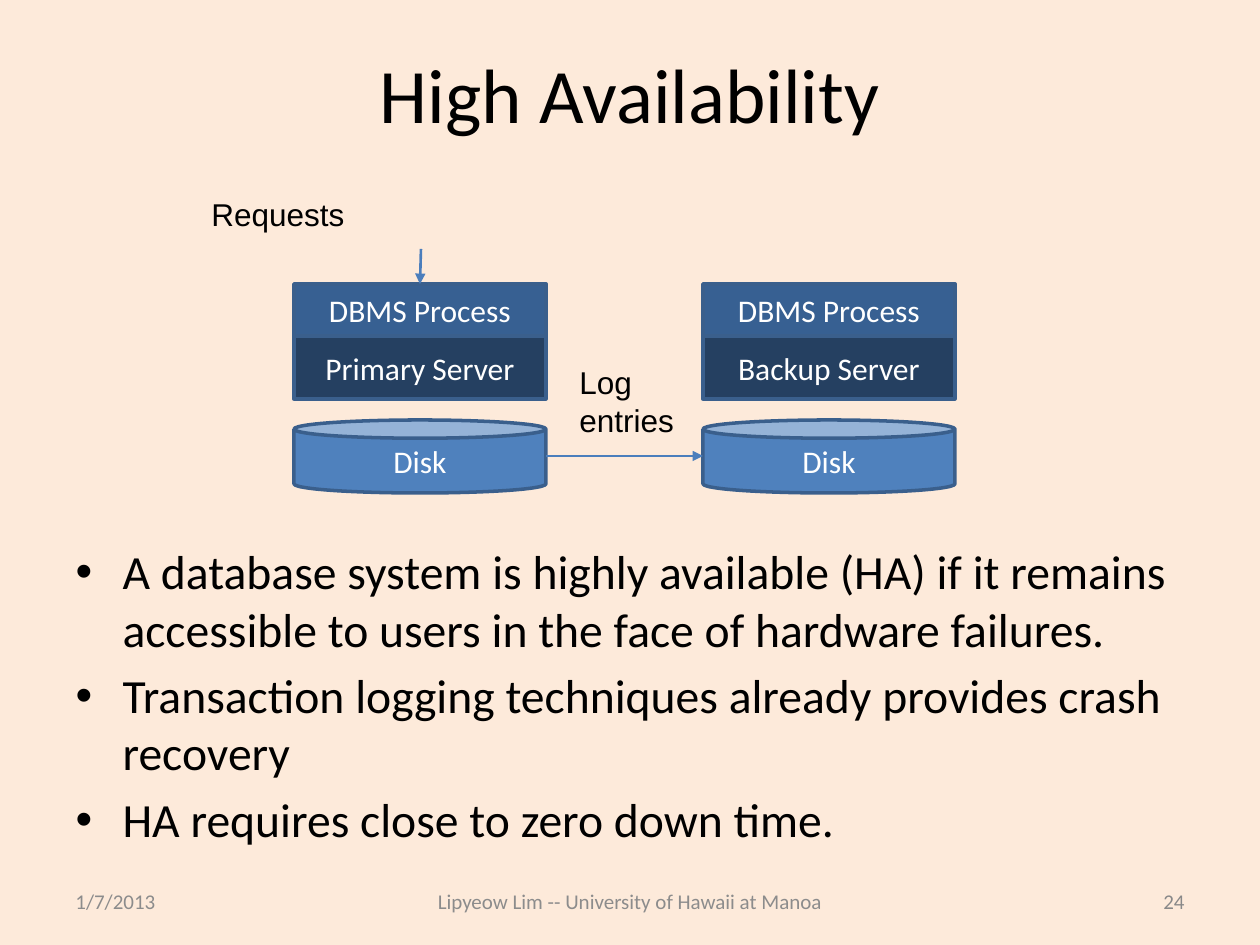
from lxml import etree
from pptx import Presentation
from pptx.dml.color import RGBColor
from pptx.enum.shapes import MSO_CONNECTOR, MSO_SHAPE
from pptx.enum.text import MSO_ANCHOR, MSO_AUTO_SIZE, PP_ALIGN
from pptx.oxml.ns import qn
from pptx.util import Pt

LEFT, MID, RIGHT = PP_ALIGN.LEFT, PP_ALIGN.CENTER, PP_ALIGN.RIGHT
TOP, HALF = MSO_ANCHOR.TOP, MSO_ANCHOR.MIDDLE
RECT, CAN = MSO_SHAPE.RECTANGLE, MSO_SHAPE.CAN
LINE, FIXED = MSO_CONNECTOR.STRAIGHT, MSO_AUTO_SIZE.NONE

TITLE = "High Availability"
POINTS = [
    "A database system is highly available (HA) if it remains accessible to users in the face of hardware failures.",
    "Transaction logging techniques already provides crash recovery",
    "HA requires close to zero down time.",
]
FOOT = [
    ("1/7/2013", 63, 294, LEFT, "8C8C8C"),
    ("Lipyeow Lim -- University of Hawaii at Manoa", 378, 504, MID, "8C8C8C"),
    ("24", 903, 294, RIGHT, "898989"),
]
NOTES = [
    (["Requests"], (199, 189, 168, 50), True),
    (["Log", "entries"], (567, 357, 121, 89), False),
]
STACKS = [(294, "Primary Server"), (703, "Backup Server")]
WIDE = 252
PARTS = [
    (CAN, "Disk", 420, 73, "4F81BD"),
    (RECT, None, 336, 63, "254061"),
    (RECT, "DBMS Process", 284, 52, "376092"),
]


def px(n):
    return round(n * 914400 / 126)


def tint(code):
    return RGBColor.from_string(code)


def place(shape, box):
    for name, n in zip(("left", "top", "width", "height"), box):
        setattr(shape, name, px(n))


def write(shape, lines, size, color="000000", face="Calibri", align=LEFT,
          anchor=HALF, wrap=True, bullet=False):
    frame = shape.text_frame
    form = {"auto_size": FIXED, "word_wrap": wrap, "vertical_anchor": anchor}
    for name, value in form.items():
        setattr(frame, name, value)
    for i, line in enumerate(lines):
        para = frame.add_paragraph() if i else frame.paragraphs[0]
        para.text = line
        para.alignment = align
        para.space_before = Pt(5.5 if bullet and i else 0)
        if bullet:
            prop = para._p.get_or_add_pPr()
            prop.set("marL", str(px(47)))
            prop.set("indent", str(-px(47)))
            etree.SubElement(prop, qn("a:buChar")).set("char", "•")
        look = {"size": Pt(size), "name": face}
        for name, value in look.items():
            setattr(para.font, name, value)
        para.font.color.rgb = tint(color)


def label(shapes, lines, box, size, **form):
    shape = shapes.add_textbox(*map(px, box))
    write(shape, lines, size, **form)


def block(shapes, kind, text, box, fill):
    shape = shapes.add_shape(kind, *map(px, box))
    shape.shadow.inherit = False
    shape.fill.solid()
    shape.fill.fore_color.rgb = tint(fill)
    shape.line.color.rgb = tint("3A5F8C")
    shape.line.width = Pt(2)
    write(shape, [text], 18, "FFFFFF", align=MID)
    return shape


def arrow(shapes, ends):
    link = shapes.add_connector(LINE, *map(px, ends))
    link.line.color.rgb = tint("4B7EBC")
    link.line.width = Pt(1.5)
    tip = etree.SubElement(link.line._get_or_add_ln(), qn("a:tailEnd"))
    tip.set("type", "triangle")
    etree.SubElement(link._element.spPr, qn("a:effectLst"))
    return link


def main():
    deck = Presentation()
    deck.slide_width, deck.slide_height = px(1260), px(945)
    slide = deck.slides.add_slide(deck.slide_layouts[1])
    slide.background.fill.solid()
    slide.background.fill.fore_color.rgb = tint("FDEADA")
    shapes = slide.shapes

    place(shapes.title, (63, 38, 1134, 110))
    write(shapes.title, [TITLE], 44, align=MID)
    body = slide.placeholders[1]
    place(body, (63, 536, 1134, 308))
    write(body, POINTS, 27.2, anchor=TOP, bullet=True)

    for text, x, w, align, color in FOOT:
        label(shapes, [text], (x, 876, w, 50), 12, color=color, align=align)

    heads = []
    for x, server in STACKS:
        for kind, text, y, h, fill in PARTS:
            shape = block(shapes, kind, text or server, (x, y, WIDE, h), fill)
        heads.append(shape)

    for lines, box, wrap in NOTES:
        label(shapes, lines, box, 18, face="Arial", anchor=TOP, wrap=wrap)

    first, second = (x for x, _ in STACKS)
    arrow(shapes, (first + WIDE, 456, second, 456))
    arrow(shapes, (421, 249, first + WIDE // 2, 284)).end_connect(heads[0], 0)
    deck.save("out.pptx")


if __name__ == "__main__":
    main()
